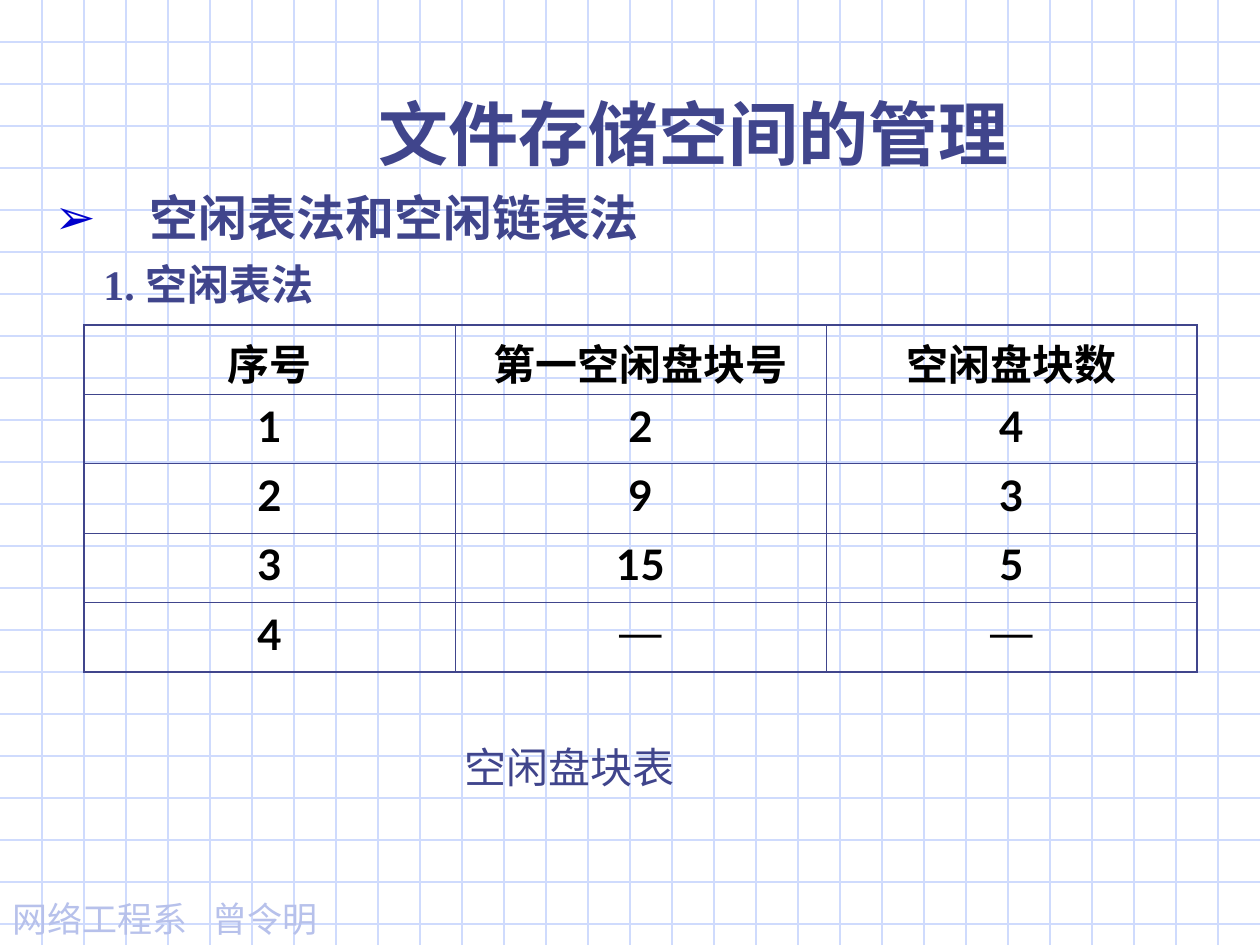
"""Builds the slide on the free block table method of file storage management."""
from lxml.etree import SubElement
from pptx import Presentation
from pptx.dml.color import RGBColor
from pptx.enum.shapes import MSO_CONNECTOR
from pptx.enum.text import MSO_ANCHOR, MSO_AUTO_SIZE, PP_ALIGN
from pptx.oxml.ns import qn
from pptx.util import Pt

EMU_PER_PX = 914400 / 126
WIDTH, HEIGHT = 1260, 945
GRID_STEP = 42
INK, GRID, FOOTER, BULLET, BLACK = "40458C", "CFDBFD", "B7C1EB", "0000CC", "000000"
SANS, SERIF, LATO = "Noto Sans CJK JP", "Times New Roman", "Lato"
BLOCK_ROWS = [
    ("序号", "第一空闲盘块号", "空闲盘块数"),
    ("1", "2", "4"),
    ("2", "9", "3"),
    ("3", "15", "5"),
    ("4", "—", "—"),
]


def px(length):
    return round(length * EMU_PER_PX)


def colour(value):
    return RGBColor.from_string(value)


def style(paragraph, font_name, size, ink, bold=False):
    font = paragraph.font
    font.name, font.size, font.bold = font_name, Pt(size), bold
    font.color.rgb = colour(ink)
    properties = paragraph._p.get_or_add_pPr().find(qn("a:defRPr"))
    SubElement(properties, qn("a:ea"), typeface=SANS)


def add_grid_line(slide, x1, y1, x2, y2):
    line = slide.shapes.add_connector(
        MSO_CONNECTOR.STRAIGHT, px(x1), px(y1), px(x2), px(y2))
    line.line.color.rgb = colour(GRID)
    line.line.width = Pt(0.75)
    SubElement(line._element.spPr, qn("a:effectLst"))
    slide.shapes._spTree.insert(2, line._element)


def add_grid(slide):
    for y in range(GRID_STEP, HEIGHT, GRID_STEP):
        add_grid_line(slide, 0, y, WIDTH, y)
    for x in range(GRID_STEP, WIDTH, GRID_STEP):
        add_grid_line(slide, x, 0, x, HEIGHT)


def fill_frame(holder, text):
    frame = holder.text_frame
    frame.word_wrap = True
    frame.auto_size = MSO_AUTO_SIZE.NONE
    frame.vertical_anchor = MSO_ANCHOR.MIDDLE
    paragraph = frame.paragraphs[0]
    paragraph.text = text
    paragraph.space_before = Pt(0)
    return paragraph


def place(holder, left, top, width, height):
    holder.left, holder.top = px(left), px(top)
    holder.width, holder.height = px(width), px(height)


def add_label(slide, text, left, top, width, height):
    box = slide.shapes.add_textbox(px(left), px(top), px(width), px(height))
    return fill_frame(box, text)


def set_bullet(paragraph, character, ink, indent):
    properties = paragraph._p.get_or_add_pPr()
    properties.set("marL", str(px(indent)))
    properties.set("indent", str(-px(indent)))
    bullet_ink = SubElement(properties, qn("a:buClr"))
    SubElement(bullet_ink, qn("a:srgbClr"), val=ink)
    SubElement(properties, qn("a:buChar"), char=character)


def set_tab(paragraph, position):
    stops = SubElement(paragraph._p.get_or_add_pPr(), qn("a:tabLst"))
    SubElement(stops, qn("a:tab"), pos=str(px(position)), algn="l")


def set_borders(cell, outer_sides):
    properties = cell._tc.get_or_add_tcPr()
    for index, side in enumerate("LRTB"):
        width = Pt(1.08 if side in outer_sides else 0.45)
        border = SubElement(properties, qn(f"a:ln{side}"), w=str(width))
        fill = SubElement(border, qn("a:solidFill"))
        SubElement(fill, qn("a:srgbClr"), val=INK)
        properties.insert(index, border)


def add_block_table(slide, left, top, width, height):
    rows, columns = len(BLOCK_ROWS), len(BLOCK_ROWS[0])
    table = slide.shapes.add_table(
        rows, columns, px(left), px(top), px(width), px(height)).table
    table.first_row = table.horz_banding = False
    for r, values in enumerate(BLOCK_ROWS):
        for c, value in enumerate(values):
            cell = table.cell(r, c)
            cell.fill.background()
            cell.margin_bottom = px(2)
            edges = {"L": c == 0, "R": c == columns - 1,
                     "T": r == 0, "B": r == rows - 1}
            set_borders(cell, [side for side, outer in edges.items() if outer])
            entry = cell.text_frame.paragraphs[0]
            entry.text = value
            entry.alignment = PP_ALIGN.CENTER
            style(entry, SERIF if value == "—" else LATO, 24, BLACK, True)


def main():
    deck = Presentation()
    deck.slide_width, deck.slide_height = px(WIDTH), px(HEIGHT)
    slide = deck.slides.add_slide(deck.slide_layouts[1])
    add_grid(slide)

    title, topics = slide.placeholders
    place(title, 179, 84, 1029, 97)
    heading = fill_frame(title, "文件存储空间的管理")
    heading.alignment = PP_ALIGN.CENTER
    style(heading, SANS, 40, INK, True)

    place(topics, 42, 179, 1166, 84)
    topic = fill_frame(topics, "空闲表法和空闲链表法")
    topic.line_spacing = 0.9
    set_bullet(topic, "➢", BULLET, 95)
    style(topic, SERIF, 28, INK, True)

    method = add_label(slide, "1. 空闲表法", 91, 252, 255, 63)
    style(method, SERIF, 24, INK, True)
    add_block_table(slide, 84, 325, 1113, 347)
    caption = add_label(slide, "空闲盘块表", 452, 735, 244, 63)
    style(caption, SERIF, 24, INK)

    author = add_label(slide, "网络工程系\t曾令明", 0, 891, 336, 55)
    set_tab(author, 200)
    style(author, SANS, 20, FOOTER)
    deck.save("out.pptx")


if __name__ == "__main__":
    main()
